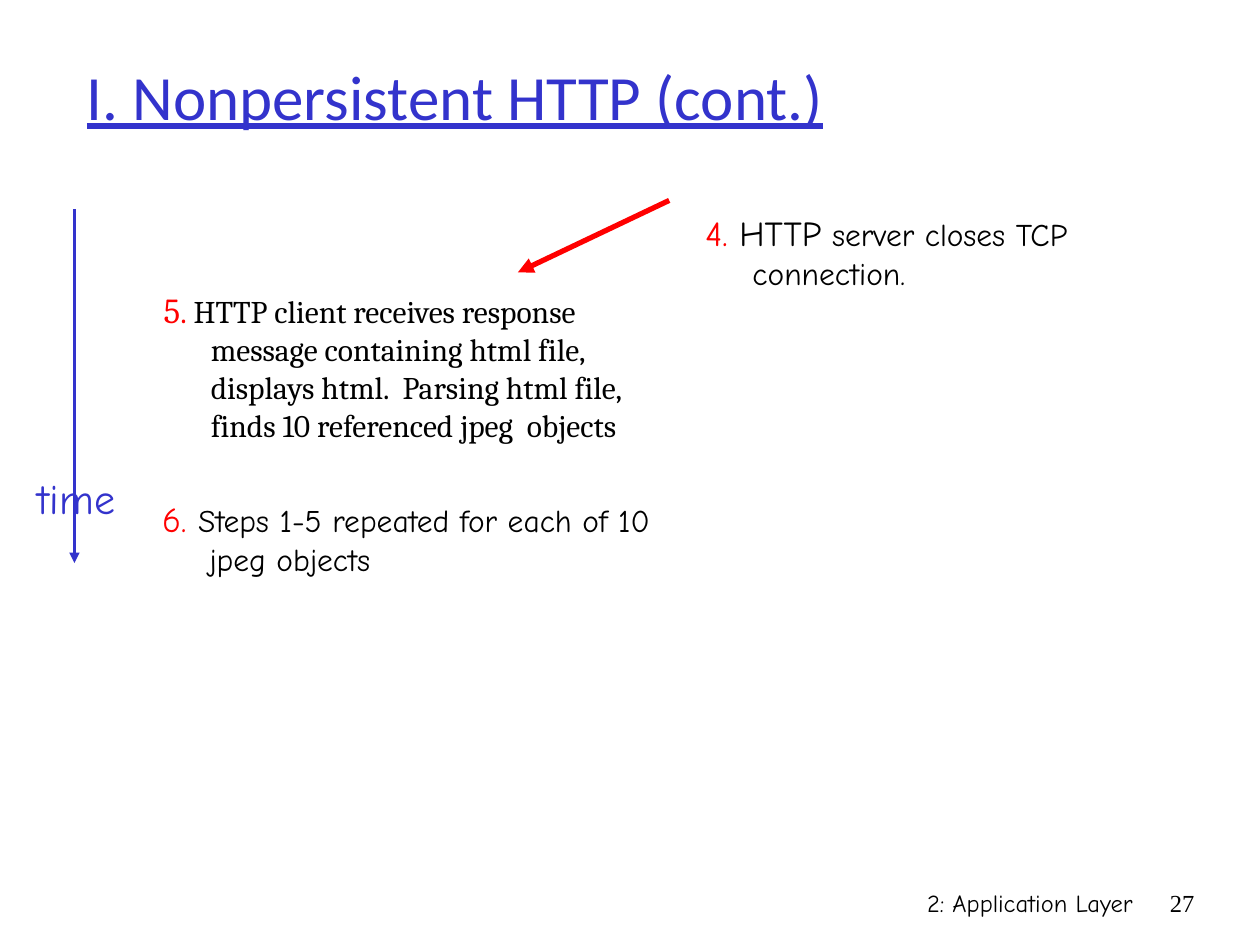
from dataclasses import dataclass

from lxml import etree
from pptx import Presentation, util as u
from pptx.dml.color import RGBColor
from pptx.enum import shapes, text
from pptx.oxml import ns

BLUE = RGBColor(0x33, 0x33, 0xCC)
RED = RGBColor(0xFF, 0x00, 0x00)
BLACK = RGBColor(0x00, 0x00, 0x00)
COMIC = "Comic Neue"
HANG = u.Cm(0.95)


@dataclass
class Run:
    text: str
    size: float
    color: RGBColor = BLACK
    underline: bool = False


@dataclass
class Label:
    """A one-paragraph text box; its box is left, top, width, height in cm."""
    box: tuple[float, float, float, float]
    runs: list[Run]
    font: str = COMIC
    align: text.PP_ALIGN = text.PP_ALIGN.LEFT
    anchor: text.MSO_ANCHOR = text.MSO_ANCHOR.TOP
    hanging: bool = False
    wrap: bool = True


@dataclass
class Arrow:
    """Start and end are x, y in cm; width is in points."""
    start: tuple[float, float]
    end: tuple[float, float]
    color: RGBColor
    width: float


FOOTER = [
    Label((15.04, 17.78, 8.05, 1.27), [Run("2: Application Layer", 14)],
          align=text.PP_ALIGN.RIGHT),
    Label((23.06, 17.78, 1.27, 1.27), [Run("27", 14)], "Times New Roman",
          align=text.PP_ALIGN.RIGHT),
]
TITLE = Label((1.5, 0.71, 21.59, 2.41),
              [Run("I. Nonpersistent HTTP (cont.)", 36, BLUE, underline=True)],
              "Calibri", anchor=text.MSO_ANCHOR.MIDDLE)
STEPS = [
    Label((3.05, 5.69, 10.59, 4.27),
          [Run("5", 20, RED), Run(".", 18, RED),
           Run(" HTTP client receives response message containing html file, "
               "displays html.  Parsing html file, finds 10 referenced "
               "jpeg  objects", 18)],
          "Cambria", hanging=True),
    Label((3.02, 9.91, 10.59, 1.85),
          [Run("6. ", 20, RED),
           Run("Steps 1-5 repeated for each of 10 jpeg objects", 18)],
          hanging=True),
    Label((13.97, 4.14, 10.59, 2.03),
          [Run("4.", 20, RED), Run(" HTTP", 20),
           Run(" server closes TCP connection.", 18)],
          hanging=True),
]
TIME_LABEL = Label((0.51, 9.4, 2.06, 1.27), [Run("time", 24, BLUE)],
                   align=text.PP_ALIGN.CENTER, wrap=False)
TIME_AXIS = Arrow((1.5, 4.22), (1.5, 11.35), BLUE, 1.5)
RESPONSE = Arrow((13.49, 4.04), (10.44, 5.49), RED, 3)


def set_attributes(target: object, values: dict) -> None:
    for name, value in values.items():
        setattr(target, name, value)


def add_label(s, label: Label) -> None:
    sp = s.shapes.add_textbox(*map(u.Cm, label.box))
    tf = sp.text_frame
    set_attributes(tf, {"word_wrap": label.wrap,
                        "vertical_anchor": label.anchor})
    p = tf.paragraphs[0]
    p.alignment = label.align
    if label.hanging:
        pPr = p._p.get_or_add_pPr()
        pPr.set("marL", str(HANG))
        pPr.set("indent", str(-HANG))
    for run in label.runs:
        r = p.add_run()
        r.text = run.text
        set_attributes(r.font, {"name": label.font, "size": u.Pt(run.size),
                                "underline": run.underline})
        r.font.color.rgb = run.color


def add_arrow(s, arrow: Arrow) -> None:
    sp = s.shapes.add_connector(shapes.MSO_CONNECTOR.STRAIGHT,
                                *map(u.Cm, arrow.start + arrow.end))
    sp.line.color.rgb = arrow.color
    sp.line.width = u.Pt(arrow.width)
    etree.SubElement(sp.line._get_or_add_ln(), ns.qn("a:tailEnd"),
                     type="triangle")
    etree.SubElement(sp._element.spPr, ns.qn("a:effectLst"))


def main() -> None:
    prs = Presentation()
    set_attributes(prs, {"slide_width": u.Cm(25.4),
                         "slide_height": u.Cm(19.05)})
    s = prs.slides.add_slide(prs.slide_layouts[6])
    for label in [*FOOTER, TITLE, *STEPS]:
        add_label(s, label)
    add_arrow(s, TIME_AXIS)
    add_label(s, TIME_LABEL)
    add_arrow(s, RESPONSE)
    prs.save("out.pptx")


if __name__ == "__main__":
    main()
